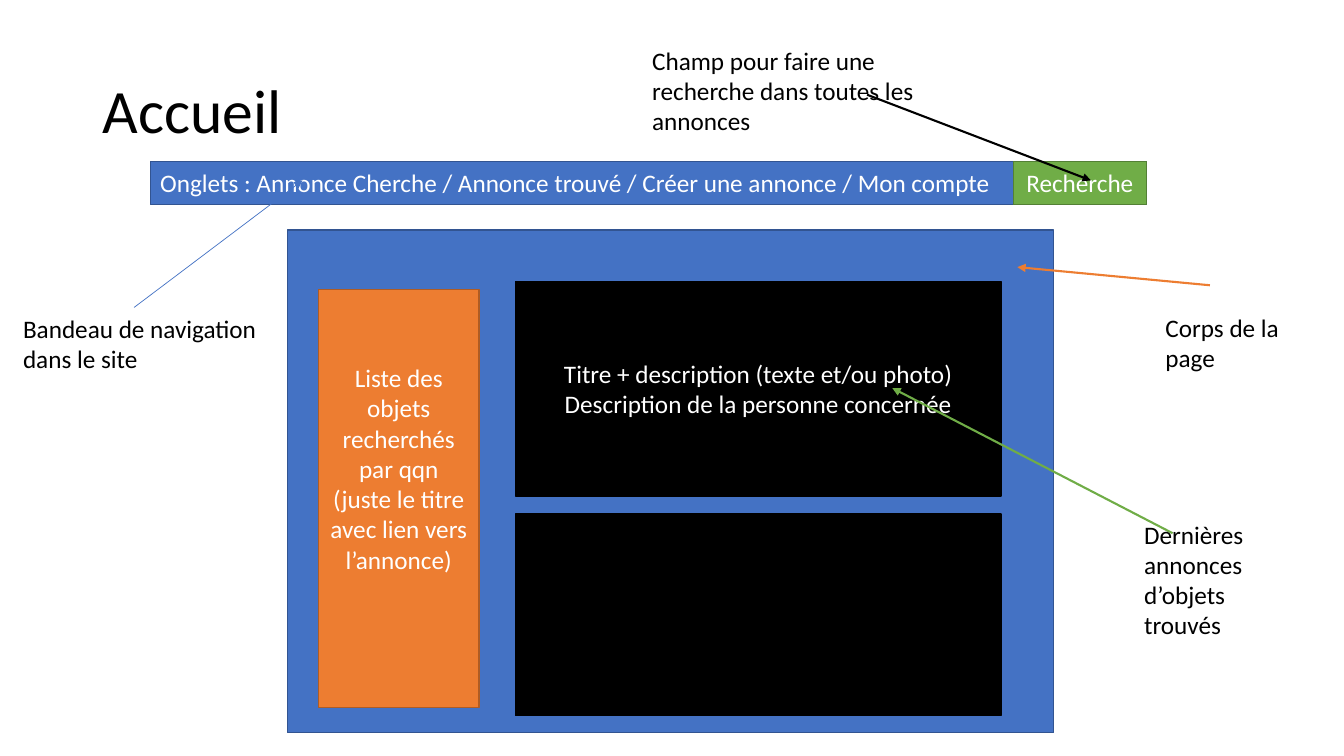
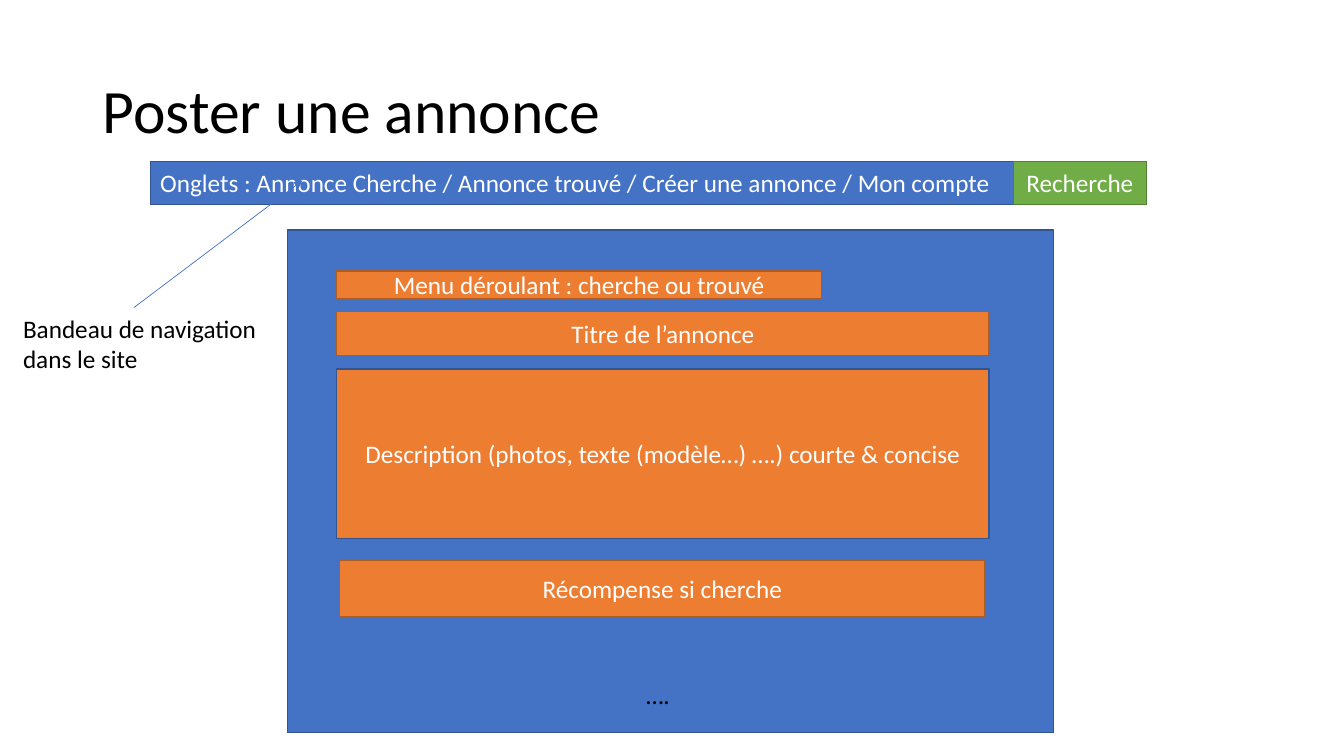
from lxml.etree import SubElement
from pptx import Presentation
from pptx.dml.color import RGBColor
from pptx.enum.shapes import MSO_CONNECTOR, MSO_SHAPE
from pptx.enum.text import MSO_ANCHOR, MSO_AUTO_SIZE, PP_ALIGN
from pptx.oxml.ns import qn
from pptx.util import Inches, Pt

FONT = "Calibri"
HEX = {
    "blue": "4472C4", "navy": "325491",
    "orange": "ED7D31", "rust": "AF5C24",
    "green": "70AD47", "moss": "538035",
    "black": "000000", "white": "FFFFFF",
}

# Shared parts: boxes are (place, fill, edge, lines)
TITLE = (0.92, 0.4, 11.5, 1.45)
TABS = ((1.49, 1.6, 9.88, 0.43), "blue", "navy",
        ["Onglets : Annonce Cherche / Annonce trouvé / Créer une annonce / Mon compte"])
SEARCH = ((10.05, 1.6, 1.32, 0.43), "green", "moss", ["Recherche"])
BODY = ((2.85, 2.28, 7.6, 4.99), "blue", "navy", [])
NOTE = ((0.13, 3.06, 2.51, 0.71), "Bandeau de navigation dans le site")
ARROW = ((1.33, 3.05), (3, 1.79), "blue", 0.5)

# Home page: two found-item cards beside a list
LIST = ((3.16, 2.87, 1.59, 4.15), "orange", "rust",
        ["Liste des objets recherchés par qqn (juste le titre avec lien vers l’annonce)"])
LIFT = 0.65  # bottom inset that raises the list text
CARDS = [
    ((5.11, 2.79, 4.82, 2.13), "black", "black",
     ["Titre + description (texte et/ou photo)", "Description de la personne concernée"]),
    ((5.11, 5.1, 4.82, 2), "black", "black", []),
]

# Form page: fields of the new notice
FIELDS = [
    ((3.34, 2.69, 4.81, 0.27), "orange", "rust", ["Menu déroulant : cherche ou trouvé"]),
    ((3.34, 3.09, 6.47, 0.44), "orange", "rust", ["Titre de l’annonce"]),
    ((3.34, 3.66, 6.47, 1.68), "orange", "navy",
     ["Description (photos, texte (modèle…) ….) courte & concise"]),
    ((3.37, 5.56, 6.4, 0.56), "orange", "rust", ["Récompense si cherche"]),
]

PAGES = [
    {
        "title": "Accueil",
        "boxes": CARDS,
        "list": LIST,
        "notes": [
            ((11.46, 3.05, 1.62, 0.71), "Corps de la page"),
            ((11.25, 5.1, 1.66, 1.31), "Dernières annonces d’objets trouvés"),
            ((6.37, 0.4, 2.97, 1.01), "Champ pour faire une recherche dans toutes les annonces"),
        ],
        "arrows": [
            ((12, 2.83), (10.09, 2.65), "orange", 1.5),
            ((11.63, 5.29), (8.85, 3.85), "green", 1.5),
            ((8.6, 0.94), (10.82, 1.79), "black", 1.5),
        ],
    },
    {
        "title": "Poster une annonce",
        "boxes": FIELDS,
        "list": None,
        "notes": [((6.31, 6.69, 2.86, 0.4), "….")],
        "arrows": [],
    },
]


def paint(name):
    return RGBColor.from_string(HEX[name])


def write(frame, lines, color, align=PP_ALIGN.LEFT, size=18):
    frame.word_wrap = True
    for i, line in enumerate(lines):
        para = frame.paragraphs[0] if i == 0 else frame.add_paragraph()
        para.alignment = align
        run = para.add_run()
        run.text = line
        run.font.name = FONT
        run.font.size = Pt(size)
        run.font.color.rgb = paint(color)


def add_box(slide, place, fill, edge, lines, align=PP_ALIGN.CENTER):
    box = slide.shapes.add_shape(MSO_SHAPE.RECTANGLE, *map(Inches, place))
    box.shadow.inherit = False
    box.fill.solid()
    box.fill.fore_color.rgb = paint(fill)
    box.line.color.rgb = paint(edge)
    box.line.width = Pt(1)
    box.text_frame.vertical_anchor = MSO_ANCHOR.MIDDLE
    write(box.text_frame, lines, "white", align)
    return box


def add_note(slide, place, text):
    note = slide.shapes.add_textbox(*map(Inches, place))
    write(note.text_frame, [text], "black")


def add_arrow(slide, start, end, color, width):
    arrow = slide.shapes.add_connector(
        MSO_CONNECTOR.STRAIGHT, *map(Inches, start + end))
    arrow.line.color.rgb = paint(color)
    arrow.line.width = Pt(width)
    SubElement(arrow.line._get_or_add_ln(), qn("a:tailEnd"), type="triangle")
    SubElement(arrow._element.spPr, qn("a:effectLst"))


def set_title(slide, text):
    title = slide.shapes.title
    title.left, title.top, title.width, title.height = map(Inches, TITLE)
    frame = title.text_frame
    frame.auto_size = MSO_AUTO_SIZE.NONE
    frame.vertical_anchor = MSO_ANCHOR.MIDDLE
    write(frame, [text], "black", size=44)
    frame.paragraphs[0].line_spacing = 0.9


def add_page(deck, page):
    slide = deck.slides.add_slide(deck.slide_layouts[5])
    set_title(slide, page["title"])
    # Site frame
    add_box(slide, *TABS, align=PP_ALIGN.LEFT)
    add_box(slide, *SEARCH)
    add_box(slide, *BODY)
    # Page content
    for box in page["boxes"]:
        add_box(slide, *box)
    if page["list"]:
        panel = add_box(slide, *page["list"])
        panel.text_frame.margin_bottom = Inches(LIFT)
    # Remarks and their arrows
    for arrow in [ARROW] + page["arrows"]:
        add_arrow(slide, *arrow)
    for note in [NOTE] + page["notes"]:
        add_note(slide, *note)


def main():
    deck = Presentation()
    deck.slide_width, deck.slide_height = Inches(13.33), Inches(7.5)
    for page in PAGES:
        add_page(deck, page)
    deck.save("out.pptx")


if __name__ == "__main__":
    main()
